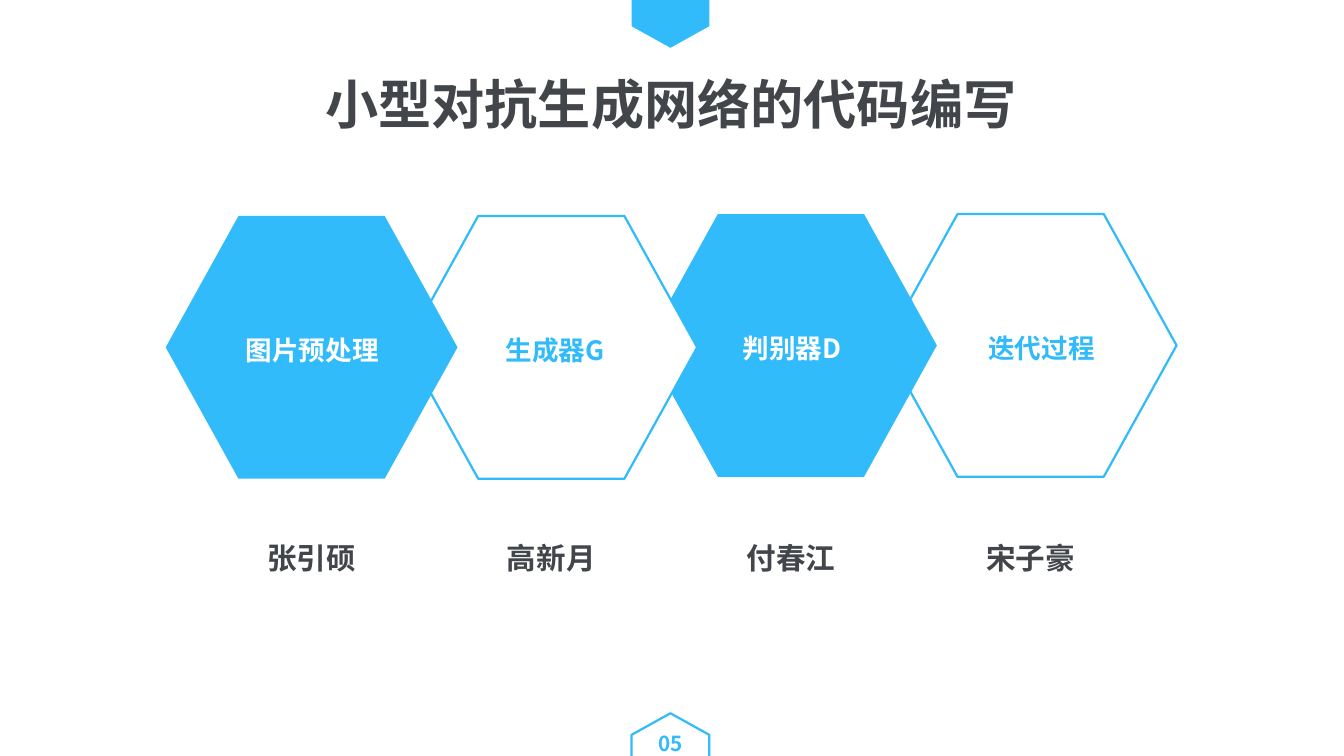
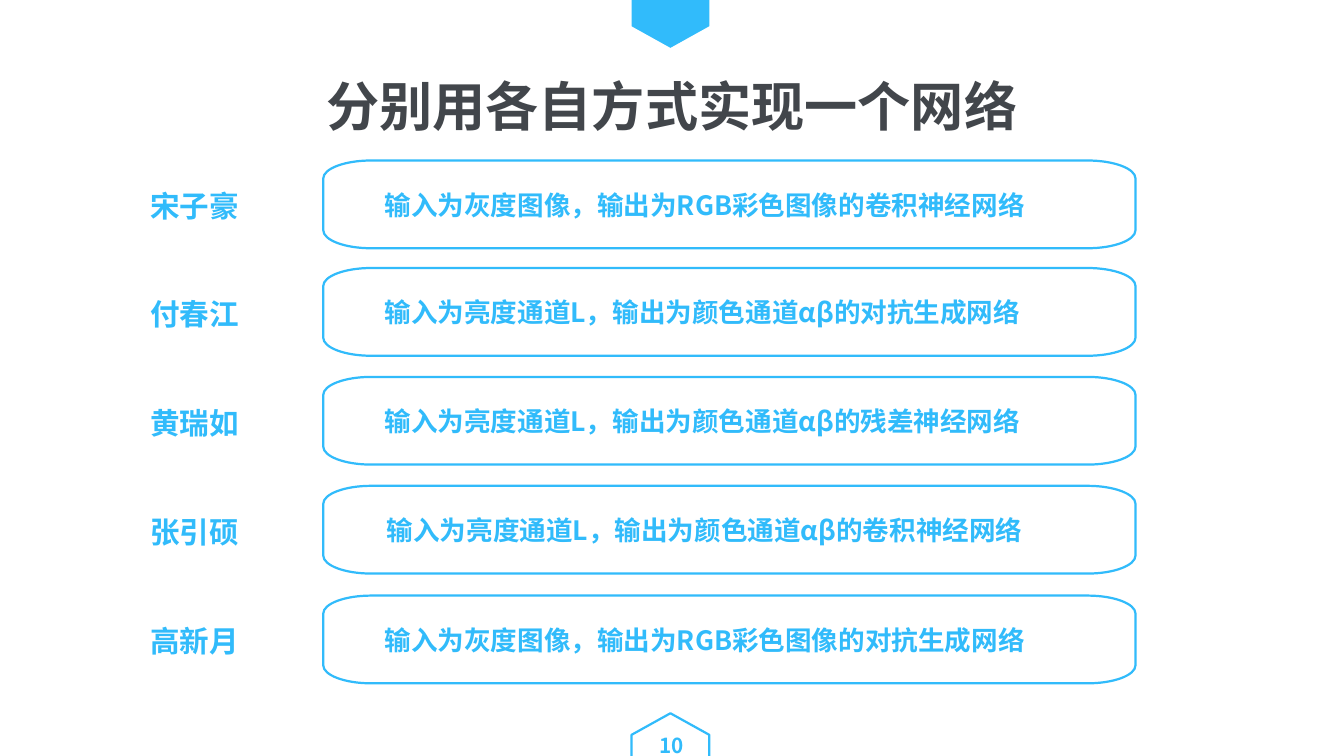
from lxml.etree import SubElement
from pptx import Presentation
from pptx.dml.color import RGBColor
from pptx.enum.shapes import MSO_SHAPE as SHAPE
from pptx.enum.text import MSO_ANCHOR as ANCHOR, MSO_AUTO_SIZE as AUTO, PP_ALIGN as ALIGN
from pptx.oxml.ns import qn
from pptx.util import Pt

# Content
STEPS_TITLE = "小型对抗生成网络的代码编写"
STEPS = [  # label, person, filled, top, label shift to the right
    ("图片预处理", "张引硕", True, 146.2, 0.4),
    ("生成器G", "高新月", False, 146.2, 2.5),
    ("判别器D", "付春江", True, 144.9, 0.7),
    ("迭代过程", "宋子豪", False, 144.9, 7.3),
]
NETWORKS_TITLE = "分别用各自方式实现一个网络"
NETWORKS = [  # person, network, top, text inset
    ("宋子豪", "输入为灰度图像，输出为RGB彩色图像的卷积神经网络", 108.7, 41.5),
    ("付春江", "输入为亮度通道L，输出为颜色通道αβ的对抗生成网络", 181.5, 41.5),
    ("黄瑞如", "输入为亮度通道L，输出为颜色通道αβ的残差神经网络", 255.2, 41.5),
    ("张引硕", "输入为亮度通道L，输出为颜色通道αβ的卷积神经网络", 329, 43),
    ("高新月", "输入为灰度图像，输出为RGB彩色图像的对抗生成网络", 403.3, 41.5),
]

# Shared style
FONT, BLUE, DARK, WHITE = "Noto Sans CJK SC", "31BBFB", "42464B", "FFFFFF"
WIDTH, HEIGHT = 910.08, 511.92


def rgb(value):
    return RGBColor.from_string(value)


def paint(s, fill=None, line=None):
    s.shadow.inherit = False
    if fill:
        s.fill.solid()
        s.fill.fore_color.rgb = rgb(fill)
    else:
        s.fill.background()
    if line:
        s.line.color.rgb = rgb(line)
        s.line.width = Pt(1.5)
    else:
        s.line.fill.background()


def write(s, text, size=18, color=BLUE, align=ALIGN.CENTER, spacing=1.16, left=2, right=2):
    tf = s.text_frame
    tf.auto_size, tf.word_wrap, tf.vertical_anchor = AUTO.NONE, True, ANCHOR.MIDDLE
    tf.margin_left, tf.margin_right = Pt(left), Pt(right)
    tf.margin_top = tf.margin_bottom = Pt(1)
    p = tf.paragraphs[0]
    p.alignment, p.line_spacing = align, spacing
    r = p.add_run()
    r.text = text
    r.font.size, r.font.bold, r.font.name = Pt(size), True, FONT
    r.font.color.rgb = rgb(color)
    SubElement(r.font._element, qn("a:ea"), typeface=FONT)


def add_text(slide, x, y, w, h, text, **fmt):
    write(slide.shapes.add_textbox(Pt(x), Pt(y), Pt(w), Pt(h)), text, **fmt)


def add_outline(slide, points, **look):
    start, *rest = [(Pt(x), Pt(y)) for x, y in points]
    builder = slide.shapes.build_freeform(*start)
    builder.add_line_segments(rest, close=True)
    s = builder.convert_to_shape()
    paint(s, **look)
    return s


def add_upright_hexagon(slide, y, **look):
    x, w, h, slope = 427.7, 52.6, 58.4, 14.6
    mid, right, low = x + w / 2, x + w, y + h - slope
    add_outline(slide, [(right, low), (mid, y + h), (x, low), (x, y + slope),
                        (mid, y), (right, y + slope)], **look)


def add_soft_box(slide, x, y, w, h, rx=32.4, ry=12.2):
    """Box whose elliptical corners are one Bezier curve each."""
    r, b, cx, cy = x + w, y + h, rx * 0.45, ry * 0.45
    s = add_outline(slide, [
        (x, y + ry), (x, y + cy), (x + cx, y), (x + rx, y),
        (r - rx, y), (r - cx, y), (r, y + cy), (r, y + ry),
        (r, b - ry), (r, b - cy), (r - cx, b), (r - rx, b),
        (x + rx, b), (x + cx, b), (x, b - cy), (x, b - ry)], fill=WHITE, line=BLUE)
    # Of every four segments, the first three hold a curve's points
    segments = list(s.element.iter(qn("a:lnTo")))
    for i in range(0, len(segments), 4):
        curve, *others = segments[i:i + 3]
        curve.tag = qn("a:cubicBezTo")
        for segment in others:
            curve.append(segment[0])
            segment.getparent().remove(segment)
    return s


def add_slide(prs, title, title_at, number, number_at):
    slide = prs.slides.add_slide(prs.slide_layouts[5])
    s = slide.shapes.title
    s.left, s.top = map(Pt, title_at)
    s.width, s.height = Pt(551.5), Pt(52.6)
    write(s, title, size=36, color=DARK)
    # Top tab and page number frame, cut by the slide edges
    add_upright_hexagon(slide, -26, fill=BLUE)
    add_upright_hexagon(slide, 483, line=BLUE)
    add_text(slide, *number_at, 44, 21.6, number, size=14)
    return slide


def build_steps(prs):
    slide = add_slide(prs, STEPS_TITLE, (178.5, 40.3), "05", (432, 491.3))
    x0, w, h, pitch = 112.2, 197.6, 178, 162.3
    # Later hexagons lie behind earlier ones
    for i, (label, person, filled, y, shift) in reversed(list(enumerate(STEPS))):
        x = x0 + i * pitch
        s = slide.shapes.add_shape(SHAPE.HEXAGON, Pt(x), Pt(y), Pt(w), Pt(h))
        s.adjustments[0] = 0.277
        paint(s, fill=BLUE if filled else WHITE, line=None if filled else BLUE)
        write(s, label, color=WHITE if filled else BLUE, left=2 + 2 * shift)
        add_text(slide, x, 360.5, w, 30, person, size=20, color=DARK)


def build_networks(prs):
    slide = add_slide(prs, NETWORKS_TITLE, (179.1, 41.7), "10", (432.7, 492.7))
    h = 59.4
    for person, network, y, inset in NETWORKS:
        add_text(slide, 99.7, y - 0.9, 65.5, h, person, size=20, align=ALIGN.LEFT, right=0)
        s = add_soft_box(slide, 218.9, y, 550, h)
        write(s, network, align=ALIGN.LEFT, spacing=1, left=inset)


def main():
    prs = Presentation()
    prs.slide_width, prs.slide_height = Pt(WIDTH), Pt(HEIGHT)
    build_steps(prs)
    build_networks(prs)
    prs.save("out.pptx")


if __name__ == "__main__":
    main()
